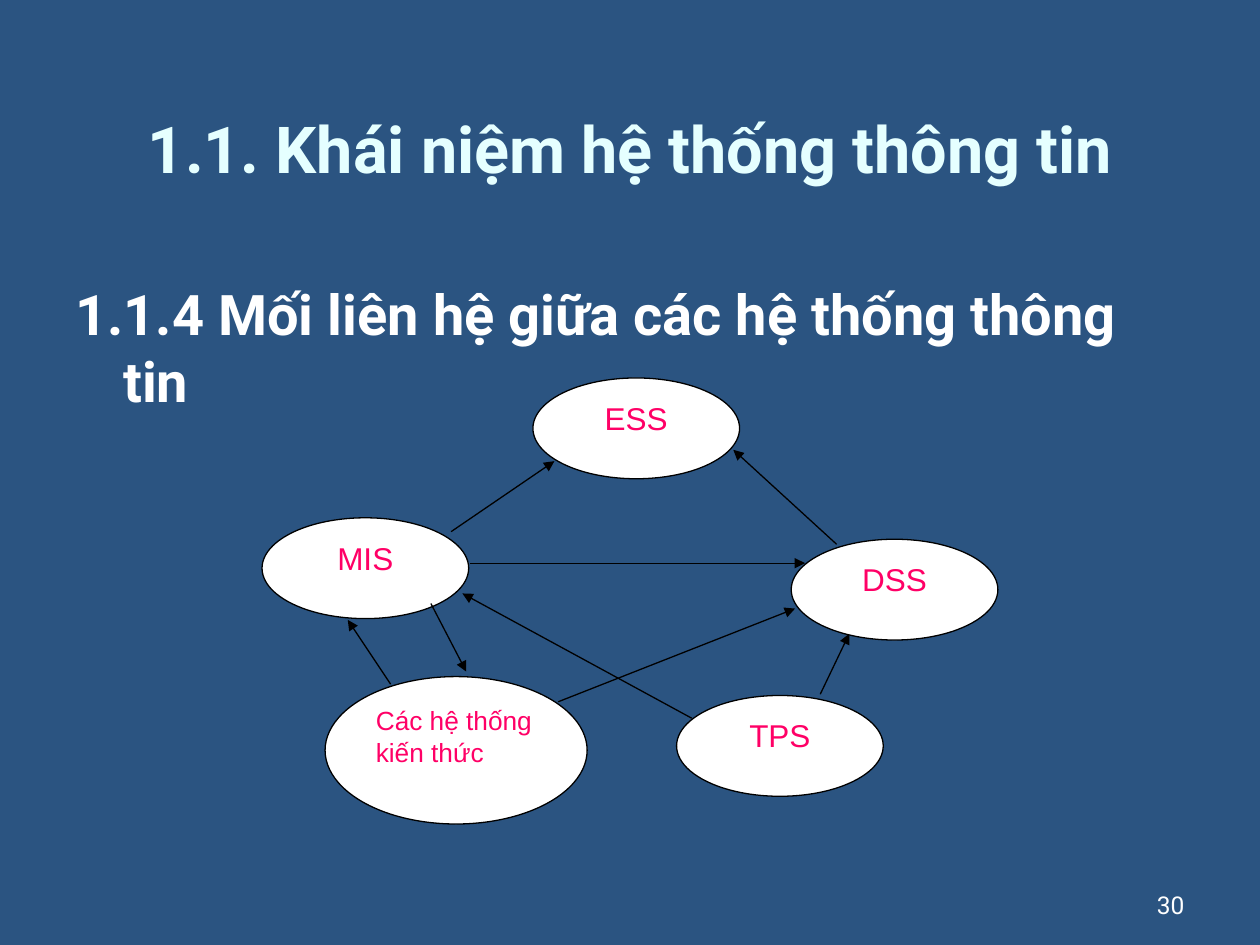
from lxml.etree import SubElement
from pptx import Presentation
from pptx.dml.color import RGBColor
from pptx.enum.shapes import MSO_CONNECTOR, MSO_SHAPE
from pptx.enum.text import MSO_ANCHOR, PP_ALIGN
from pptx.oxml.ns import qn
from pptx.util import Inches, Pt

COLORS = {
    "background": "2B5481",
    "title": "E5FFFF",
    "text": "FFFFFF",
    "node": "FFFFFF",
    "label": "FF0066",
    "line": "000000",
}
NODE_SIZE = (1.64, 0.8)
NODES = [
    ("MIS", (2.08, 4.11), NODE_SIZE, 18, PP_ALIGN.CENTER),
    ("DSS", (6.28, 4.28), NODE_SIZE, 18, PP_ALIGN.CENTER),
    ("ESS", (4.23, 3), NODE_SIZE, 18, PP_ALIGN.CENTER),
    ("Các hệ thống kiến thức", (2.58, 5.37), (2.08, 1.17), 15, PP_ALIGN.LEFT),
    ("TPS", (5.37, 5.52), NODE_SIZE, 18, PP_ALIGN.CENTER),
]
ARROWS = [
    ((3.58, 4.22), (4.4, 3.66)),
    ((6.64, 4.32), (5.82, 3.57)),
    ((3.73, 4.47), (6.39, 4.47)),
    ((3.42, 4.79), (3.7, 5.33)),
    ((3.1, 5.43), (2.76, 4.92)),
    ((4.43, 5.57), (6.31, 4.83)),
    ((6.51, 5.51), (6.74, 5.03)),
    ((5.49, 5.7), (3.67, 4.71)),
]
DIAGRAM = (2.08, 3, 5.84, 3.54)


def color(name):
    """Return the named palette colour."""
    return RGBColor.from_string(COLORS[name])


def write(shape, text, size, fill, font="Roboto", bold=False,
          align=PP_ALIGN.LEFT, anchor=MSO_ANCHOR.TOP):
    """Fill a shape with one formatted paragraph and return it."""
    tf = shape.text_frame
    tf.word_wrap = True
    tf.vertical_anchor = anchor
    p = tf.paragraphs[0]
    p.text = text
    p.alignment = align
    p.font.name = font
    p.font.size = Pt(size)
    p.font.bold = bold
    p.font.color.rgb = color(fill)
    return p


def add_title(s, box):
    """Place the slide title in its placeholder."""
    title = s.shapes.title
    title.left, title.top, title.width, title.height = map(Inches, box)
    write(title, "1.1. Khái niệm hệ thống thông tin", 37, "title", bold=True,
          align=PP_ALIGN.CENTER, anchor=MSO_ANCHOR.MIDDLE)


def add_heading(s, box):
    """Place the section heading with a hanging indent."""
    sp = s.shapes.add_textbox(*map(Inches, box))
    p = write(sp, "1.1.4 Mối liên hệ giữa các hệ thống thông tin", 32, "text",
              bold=True)
    p.space_before = Pt(6.4)
    pPr = p._p.get_or_add_pPr()
    pPr.set("marL", str(Inches(0.38)))
    pPr.set("indent", str(Inches(-0.38)))


def add_node(shapes, text, position, size, points, align):
    """Draw one labelled ellipse."""
    sp = shapes.add_shape(MSO_SHAPE.OVAL, *map(Inches, position + size))
    sp.shadow.inherit = False
    sp.fill.solid()
    sp.fill.fore_color.rgb = color("node")
    sp.line.color.rgb = color("line")
    sp.line.width = Pt(0.75)
    write(sp, text, points, "label", font="Arial", align=align)


def add_arrow(shapes, start, end):
    """Draw one straight arrow."""
    line = shapes.add_connector(MSO_CONNECTOR.STRAIGHT, *map(Inches, start + end))
    line.line.color.rgb = color("line")
    line.line.width = Pt(0.75)
    SubElement(line.line._get_or_add_ln(), qn("a:tailEnd"), type="triangle")
    SubElement(line._element.spPr, qn("a:effectLst"))


def add_diagram(s, box):
    """Draw the grouped network of systems, offset to the given box."""
    group = s.shapes.add_group_shape()
    for node in NODES:
        add_node(group.shapes, *node)
    for start, end in ARROWS:
        add_arrow(group.shapes, start, end)
    group.left, group.top, group.width, group.height = map(Inches, box)


def add_page_number(s, box):
    """Place the page number."""
    sp = s.shapes.add_textbox(*map(Inches, box))
    write(sp, "30", 14, "text", align=PP_ALIGN.RIGHT, anchor=MSO_ANCHOR.BOTTOM)


def main():
    """Build and save the slide."""
    prs = Presentation()
    prs.slide_width, prs.slide_height = Inches(10), Inches(7.5)
    s = prs.slides.add_slide(prs.slide_layouts[5])
    s.background.fill.solid()
    s.background.fill.fore_color.rgb = color("background")
    add_page_number(s, (7.17, 6.83, 2.33, 0.52))
    add_title(s, (0.5, 0.42, 9, 1.5))
    add_heading(s, (0.5, 2.17, 9, 4.5))
    add_diagram(s, DIAGRAM)
    prs.save("out.pptx")


if __name__ == "__main__":
    main()
